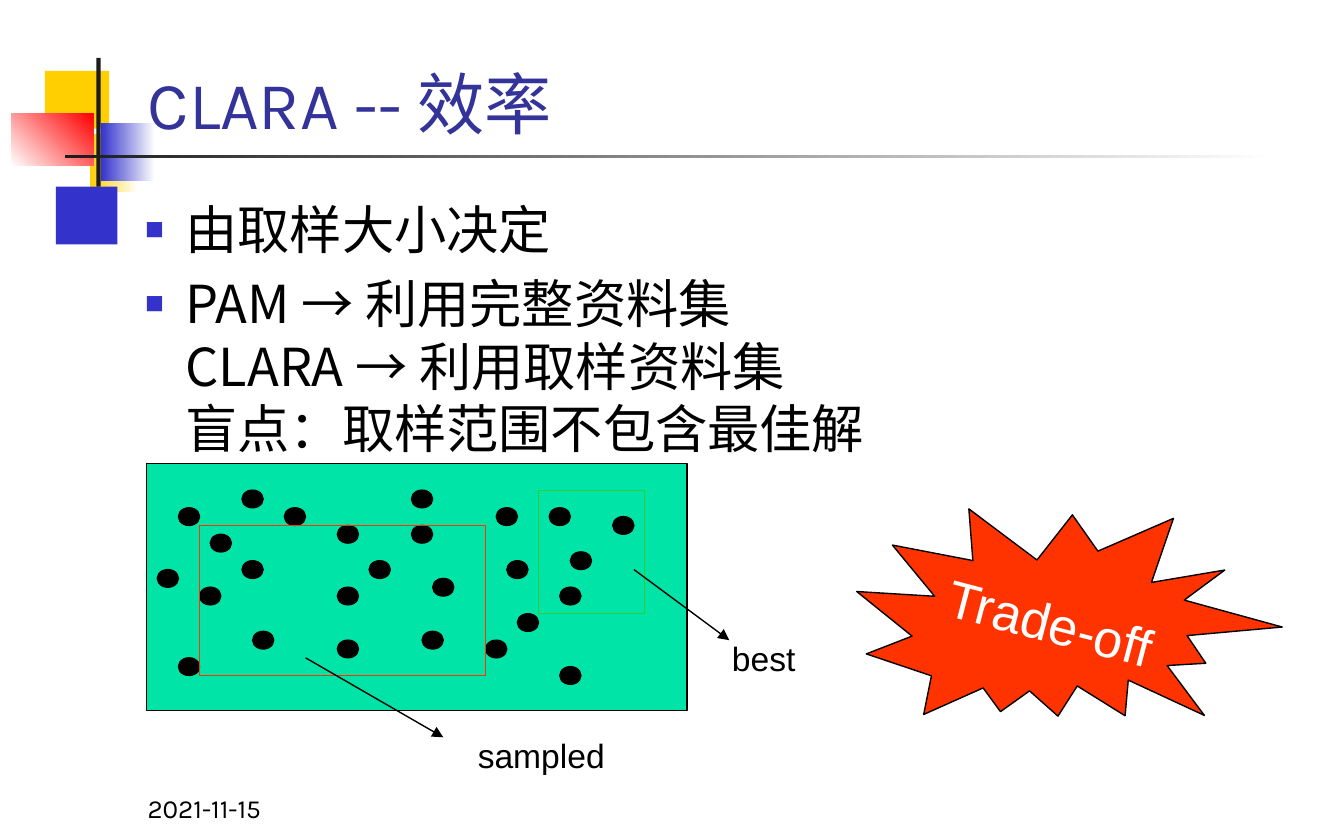
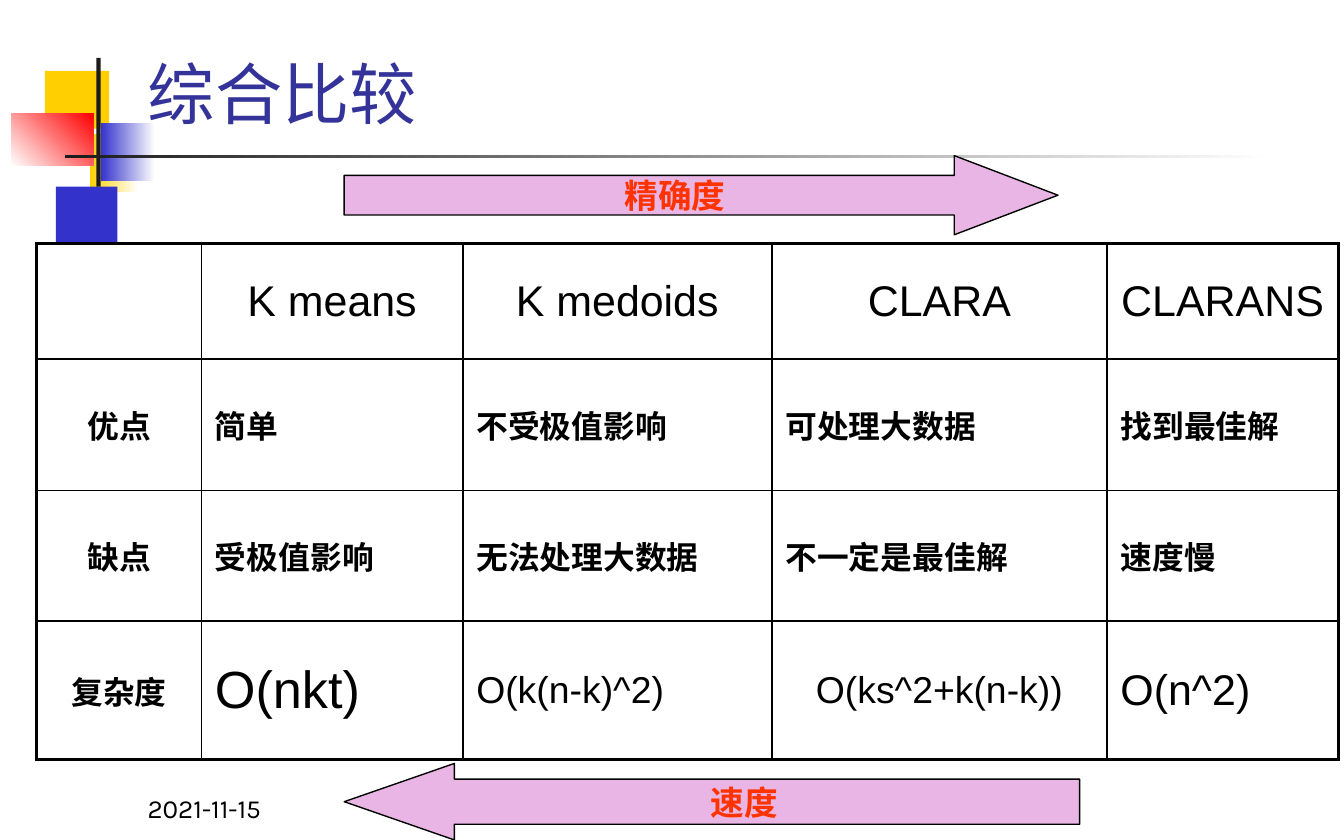
from lxml import etree
from pptx import Presentation
from pptx import util as u
from pptx.dml import color
from pptx.enum import shapes as kinds, text as txt
from pptx.oxml import ns

BLACK, WHITE = color.RGBColor(0, 0, 0), color.RGBColor(255, 255, 255)
GOLD = color.RGBColor(0xFF, 0xCF, 0x01)
BLUE = color.RGBColor(0x33, 0x33, 0xCC)
RED = color.RGBColor(0xFF, 0, 0)
CHARCOAL = color.RGBColor(0x1C, 0x1C, 0x1C)
INDIGO = color.RGBColor(0x33, 0x33, 0x99)
MINT = color.RGBColor(0, 0xE4, 0xA8)
ORANGE = color.RGBColor(0xFF, 0x33, 0)
GREEN = color.RGBColor(0x33, 0xCC, 0x33)
PINK = color.RGBColor(0xE9, 0xB5, 0xE4)

CJK = "Noto Sans CJK SC"
SHAPE, ALIGN, ANCHOR = kinds.MSO_SHAPE, txt.PP_ALIGN, txt.MSO_ANCHOR
NO_FIT, GROW = txt.MSO_AUTO_SIZE.NONE, txt.MSO_AUTO_SIZE.SHAPE_TO_FIT_TEXT

TITLE = {"name": "Karla", "size": u.Pt(36), "rgb": INDIGO}
BODY = {"name": CJK, "size": u.Pt(28), "rgb": BLACK}
DATE = {"name": "Karla", "size": u.Pt(14), "rgb": BLACK}
LABEL = {"name": "Arial", "size": u.Pt(18), "rgb": BLACK}
BURST = {"name": "Arial", "size": u.Pt(28), "rgb": WHITE}
ARROW = {"name": "Arial", "size": u.Pt(18), "bold": True, "rgb": ORANGE}

MOTIF = [
    ((24, 38, 34.5, 31), GOLD, None, 0),
    ((48, 72, 26, 31), GOLD, WHITE, 0),
    ((30, 100, 33, 31), BLUE, None, 0),
    ((54, 65.8, 29, 31), BLUE, WHITE, 0),
    ((6, 60.8, 44, 28), WHITE, RED, 45),
    ((51.6, 31, 2.4, 69), CHARCOAL, None, 0),
    ((34.6, 82.8, 648, 2), CHARCOAL, WHITE, 0),
]
DOTS = [
    (3, 5), (5, 14), (13, 5), (32, 20), (3, 22), (18, 20), (25, 7), (34, 11), (18, 7),
    (35, 17), (21, 11), (27, 13), (38, 5), (26, 19), (44, 6), (39, 14), (25, 3), (1, 12),
    (10, 19), (18, 14), (33, 5), (40, 10), (9, 3), (6, 8), (9, 11), (39, 23),
]
COMPARISON = [
    ["", "K means", "K medoids", "CLARA", "CLARANS"],
    ["优点", "简单", "不受极值影响", "可处理大数据", "找到最佳解"],
    ["缺点", "受极值影响", "无法处理大数据", "不一定是最佳解", "速度慢"],
    ["复杂度", "O(nkt)", "O(k(n-k)^2)", "O(ks^2+k(n-k))", "O(n^2)"],
]
COMPLEXITY_SIZES = [17, 28, 20, 20, 23]


def assign(target, values):
    """Set each attribute of target from a dict."""
    for key, value in values.items():
        setattr(target, key, value)


def points(box):
    """Turn numbers into point lengths."""
    return [u.Pt(round(length, 2)) for length in box]


def sub(parent, tag, **attributes):
    """Append a drawing element to parent."""
    return etree.SubElement(parent, ns.qn(tag), attributes)


def write(paragraph, wording, face, **layout):
    """Write wording into a paragraph with one face and paragraph layout."""
    paragraph.text = wording
    assign(paragraph, layout)
    for run in paragraph.runs:
        assign(run.font, {key: face[key] for key in face if key != "rgb"})
        run.font.color.rgb = face["rgb"]
        latin = run.font._element.find(ns.qn("a:latin"))
        latin.addnext(latin.makeelement(ns.qn("a:ea"), {"typeface": CJK}))


def place(holder, box):
    """Move a placeholder to a box."""
    assign(holder, dict(zip(("left", "top", "width", "height"), points(box))))


def draw(slide, kind, box, fill=None, line=None):
    """Add a preset shape with flat fill and thin line."""
    part = slide.shapes.add_shape(kind, *points(box))
    part.shadow.inherit = False
    if fill is None:
        part.fill.background()
    else:
        part.fill.solid()
        part.fill.fore_color.rgb = fill
    if line is None:
        part.line.fill.background()
    else:
        part.line.width = u.Pt(0.75)
        part.line.color.rgb = line
    return part


def caption(part, wording, face):
    """Centre unwrapped wording in a shape."""
    assign(part.text_frame, {"word_wrap": False, "vertical_anchor": ANCHOR.MIDDLE})
    write(part.text_frame.paragraphs[0], wording, face, alignment=ALIGN.CENTER)


def note(slide, box, wording, face, frame, **layout):
    """Add a wrapped text box."""
    area = slide.shapes.add_textbox(*points(box)).text_frame
    assign(area, {"word_wrap": True, **frame})
    write(area.paragraphs[0], wording, face, **layout)


def pointer(slide, start, end):
    """Add a thin line with a triangle head at its end."""
    link = slide.shapes.add_connector(kinds.MSO_CONNECTOR.STRAIGHT, *points(start + end))
    link.line.width = u.Pt(0.75)
    link.line.color.rgb = BLACK
    sub(link.line._get_or_add_ln(), "a:tailEnd", type="triangle")
    sub(link.element.spPr, "a:effectLst")


def add_motif(prs, slide):
    """Build the colour blocks and rules and hand them to the master."""
    for number, (box, start, end, angle) in enumerate(MOTIF, 20):
        block = draw(slide, SHAPE.RECTANGLE, box, start)
        if end is not None:
            block.fill.gradient()
            block.fill.gradient_angle = angle
            for stop, tint in zip(block.fill.gradient_stops, (start, end)):
                stop.color.rgb = tint
        block.element.nvSpPr.cNvPr.set("id", str(number))
        prs.slide_master.shapes.element.append(block.element)


def start_slide(prs, layout, wording, box):
    """Add a slide with its title and date."""
    slide = prs.slides.add_slide(prs.slide_layouts[layout])
    heading = slide.shapes.title
    place(heading, box)
    assign(heading.text_frame, {"vertical_anchor": ANCHOR.BOTTOM, "auto_size": NO_FIT})
    write(heading.text_frame.paragraphs[0], wording, TITLE, alignment=ALIGN.LEFT)
    note(slide, (72, 425, 150, 20), "2021-11-15", DATE, {"vertical_anchor": ANCHOR.BOTTOM})
    return slide


def add_findings(slide, box, findings):
    """Fill the body placeholder with square-bulleted findings."""
    body = slide.placeholders[1]
    place(body, box)
    area = body.text_frame
    area.auto_size = NO_FIT
    for index, finding in enumerate(findings):
        paragraph = area.add_paragraph() if index else area.paragraphs[0]
        write(paragraph, finding, BODY, space_before=u.Pt(6))
        props = paragraph._p.get_or_add_pPr()
        for key, indent in (("marL", 21.6), ("indent", -21.6)):
            props.set(key, str(u.Pt(indent)))
        sub(sub(props, "a:buClr"), "a:srgbClr", val=str(BLUE))
        sub(props, "a:buSzPct", val="60000")
        sub(props, "a:buFont", typeface="Arial")
        sub(props, "a:buChar", char="■")


def add_sampling(slide, box):
    """Draw the data set on a 51 by 28 grid with its sample and best area."""
    left, top, width, height = box
    across, down = width / 51, height / 28

    def spot(column, row):
        return left + column * across, top + row * down

    def area(column, row, columns, rows):
        return (*spot(column, row), columns * across, rows * down)

    draw(slide, SHAPE.RECTANGLE, box, MINT, BLACK)
    for column, row in DOTS:
        draw(slide, SHAPE.OVAL, area(column, row, 2, 2), BLACK, BLACK)
    draw(slide, SHAPE.RECTANGLE, area(5, 7, 27, 17), line=ORANGE)
    draw(slide, SHAPE.RECTANGLE, area(37, 3, 10, 14), line=GREEN)
    for start, end, label, wording in (
        ((15, 22), (28, 31), (30, 30, 17, 6), "sampled"),
        ((46, 12), (55, 20), (54, 19, 13, 6), "best"),
    ):
        pointer(slide, spot(*start), spot(*end))
        note(slide, area(*label), wording, LABEL, {"auto_size": GROW}, space_before=u.Pt(9))


def add_tradeoff(slide, box):
    """Add the tilted burst."""
    burst = draw(slide, SHAPE.EXPLOSION2, box, ORANGE, BLACK)
    burst.rotation = 14.6
    caption(burst, "Trade-off", BURST)


def add_borders(cell, widths):
    """Give a cell black borders of the given widths."""
    props = cell._tc.get_or_add_tcPr()
    for index, (side, width) in enumerate(widths.items()):
        edge = props.makeelement(ns.qn(f"a:{side}"), {"w": str(u.Pt(width))})
        sub(sub(edge, "a:solidFill"), "a:srgbClr", val=str(BLACK))
        props.insert(index, edge)


def add_comparison(slide, box, columns, rows):
    """Add the comparison table with a heavy outer frame."""
    grid = slide.shapes.add_table(len(rows), len(columns), *points(box)).table
    assign(grid, {"first_row": False, "horz_banding": False})
    for column, width in zip(grid.columns, columns):
        column.width = u.Pt(width)
    last_row, last_column = len(rows) - 1, len(columns) - 1
    for r, height in enumerate(rows):
        grid.rows[r].height = u.Pt(height)
        for c, wording in enumerate(COMPARISON[r]):
            cell = grid.cell(r, c)
            cell.fill.background()
            assign(cell, {"vertical_anchor": ANCHOR.MIDDLE, "margin_left": u.Pt(7.2),
                          "margin_right": u.Pt(7.2), "margin_top": u.Pt(3),
                          "margin_bottom": u.Pt(3)})
            size = 23 if r == 0 else COMPLEXITY_SIZES[c] if r == last_row else 17
            centred = r == 0 or c == 0 or (r, c) == (last_row, 3)
            face = {"name": "Arial", "size": u.Pt(size), "bold": size == 17, "rgb": BLACK}
            write(cell.text_frame.paragraphs[0], wording, face, space_before=u.Pt(size / 5),
                  alignment=ALIGN.CENTER if centred else ALIGN.LEFT)
            outer = {"lnL": c == 0, "lnR": c == last_column, "lnT": r == 0, "lnB": r == last_row}
            add_borders(cell, {side: 2.25 if edge else 1 for side, edge in outer.items()})


def add_trend(slide, kind, box, wording, proportions):
    """Add a labelled block arrow."""
    trend = draw(slide, kind, box, PINK, BLACK)
    for index, proportion in enumerate(proportions):
        trend.adjustments[index] = proportion
    caption(trend, wording, ARROW)


def efficiency_slide(prs):
    """Build the slide on the efficiency of CLARA."""
    slide = start_slide(prs, 1, "CLARA -- 效率", (72, 10, 632, 70))
    add_motif(prs, slide)
    add_findings(slide, (70.6, 102, 588, 320), [
        "由取样大小决定",
        "PAM → 利用完整资料集\vCLARA → 利用取样资料集\v盲点：取样范围不包含最佳解",
    ])
    add_sampling(slide, (78.6, 248.4, 289.4, 132.4))
    add_tradeoff(slide, (458.6, 265, 225.4, 135.4))


def comparison_slide(prs):
    """Build the slide comparing the four methods."""
    slide = start_slide(prs, 5, "综合比较", (72, 0, 648, 75))
    add_comparison(slide, (19.6, 130.4, 697.6, 276.6),
                   (88.4, 140, 165.6, 179.5, 124.1), (62, 70.3, 70, 74.3))
    add_trend(slide, SHAPE.RIGHT_ARROW, (184.4, 83.4, 382.4, 42.4), "精确度", (0.5, 1.31))
    add_trend(slide, SHAPE.LEFT_ARROW, (184.4, 409, 394, 41), "速度", (0.59, 1.44))


def main():
    """Build and save the presentation."""
    prs = Presentation()
    assign(prs, {"slide_width": u.Pt(720), "slide_height": u.Pt(450)})
    efficiency_slide(prs)
    comparison_slide(prs)
    prs.save("out.pptx")


if __name__ == "__main__":
    main()
